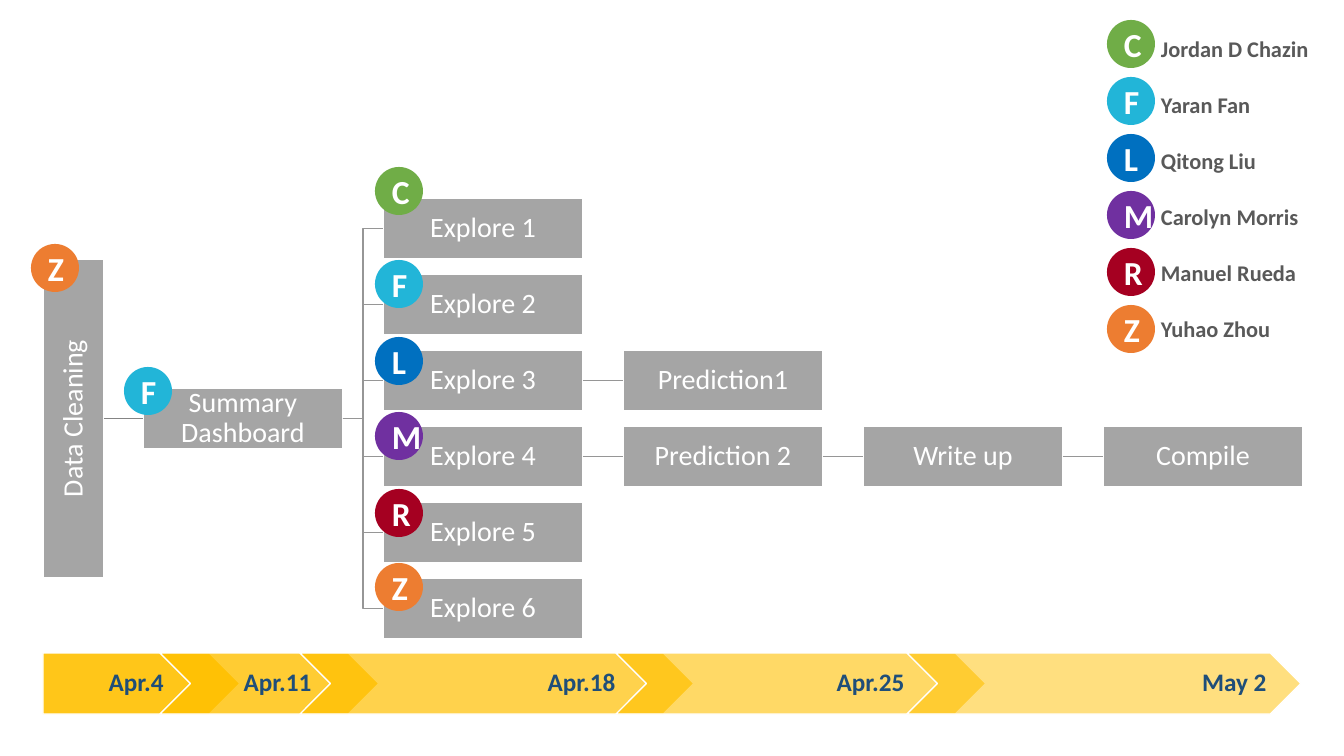
from lxml.etree import SubElement
from pptx import Presentation
from pptx.dml.color import RGBColor
from pptx.enum.shapes import MSO_CONNECTOR, MSO_SHAPE
from pptx.enum.text import MSO_ANCHOR, PP_ALIGN
from pptx.oxml.ns import qn
from pptx.util import Pt

PX = 914400 / 100.8
HUES = {
    "C": "70AD47", "F": "22B5D8", "L": "0070C0",
    "M": "7030A0", "R": "A50021", "Z": "ED7D31",
    "task": "A5A5A5", "gold": "FFC000", "white": "FFFFFF",
    "date": "1F4E79", "name": "595959", "link": "969696", "first": "848484",
}

deck = Presentation()
deck.slide_width, deck.slide_height = round(1344 * PX), round(756 * PX)
slide = deck.slides.add_slide(deck.slide_layouts[6])
shapes = slide.shapes


def write(text, kind=None, box=(0, 0, 0, 0), fill=None, edge=None, size=20,
          bold=False, hue="white", align=PP_ALIGN.CENTER, pad=(10, 5, 10, 5),
          space=None, gap=0, anchor=MSO_ANCHOR.MIDDLE):
    place = [round(n * PX) for n in box]
    if kind is None:
        shape = shapes.add_textbox(*place)
    else:
        shape = shapes.add_shape(kind, *place)
        shape.shadow.inherit = False
        shape.fill.solid()
        shape.fill.fore_color.rgb = RGBColor.from_string(HUES[fill])
        if edge:
            shape.line.color.rgb = RGBColor.from_string(HUES[edge])
            shape.line.width = Pt(1)
        else:
            shape.line.fill.background()
    frame = shape.text_frame
    frame.word_wrap = True
    frame.vertical_anchor = anchor
    (frame.margin_left, frame.margin_top,
     frame.margin_right, frame.margin_bottom) = [round(n * PX) for n in pad]
    frame.text = text
    for i, para in enumerate(frame.paragraphs):
        para.alignment = align
        para.line_spacing = space
        para.space_before = Pt(gap if i else 0)
        font = para.runs[0].font
        font.name, font.size, font.bold = "Calibri", Pt(size), bold
        font.color.rgb = RGBColor.from_string(HUES[hue])
    return shape


def join(start, end, kind=MSO_CONNECTOR.STRAIGHT, hue="link"):
    line = shapes.add_connector(kind, 0, 0, 0, 0)
    line.begin_connect(start, 3)
    line.end_connect(end, 1)
    line.line.color.rgb = RGBColor.from_string(HUES[hue])
    line.line.width = Pt(1)
    SubElement(line._element.spPr, qn("a:effectLst"))


tasks = [
    ("Summary Dashboard", 0, 2.5),
    *[(f"Explore {i + 1}", 1, i) for i in range(6)],
    ("Prediction1", 2, 2), ("Prediction 2", 2, 3),
    ("Write up", 3, 3), ("Compile", 4, 3),
]
look = dict(kind=MSO_SHAPE.RECTANGLE, fill="task", edge="white",
            pad=(1, 1, 1, 1), space=0.9)
clean = write("Data Cleaning", box=(43, 259, 61, 319), **look)
clean.text_frame._txBody.bodyPr.set("vert", "vert270")
node = {}
for text, col, row in tasks:
    spot = (143 + 240 * col, round(198 + 76 * row), 200, 61)
    node[text] = write(text, box=spot, **look)

join(clean, node["Summary Dashboard"], hue="first")
for i in range(6):
    join(node["Summary Dashboard"], node[f"Explore {i + 1}"], MSO_CONNECTOR.ELBOW)
for start, end in [("Explore 3", "Prediction1"), ("Explore 4", "Prediction 2"),
                   ("Prediction 2", "Write up"), ("Write up", "Compile")]:
    join(node[start], node[end])

dates = [("Apr.4", 43, 197, 61), ("Apr.11", 160, 219, 37),
         ("Apr.18", 300, 394, 48), ("Apr.25", 616, 370, 51),
         ("May 2", 907, 394, 4)]
for i, (text, left, width, right) in enumerate(dates):
    step = write(text, kind=MSO_SHAPE.CHEVRON if i else MSO_SHAPE.PENTAGON,
                 box=(left, 653, width, 61), fill="gold", edge="white",
                 size=18, bold=True, hue="date", align=PP_ALIGN.RIGHT,
                 pad=(0, 5, right, 5), space=0.9)
    tint = step._element.spPr.find(".//" + qn("a:srgbClr"))
    SubElement(tint, qn("a:alpha")).set("val", str(90000 - 10000 * i))

people = ["Jordan D Chazin", "Yaran Fan", "Qitong Liu",
          "Carolyn Morris", "Manuel Rueda", "Yuhao Zhou"]
write("\n".join(people), box=(1151, 29, 184, 322), size=16, bold=True,
      hue="name", align=PP_ALIGN.LEFT, space=Pt(20), gap=20,
      anchor=MSO_ANCHOR.TOP)

marks = [(mark, 1107, 20 + 57 * i) for i, mark in enumerate("CFLMRZ")]
marks += [("Z", 31, 244), ("F", 124, 367)]
marks += [(mark, 375, top) for mark, top in
          zip("CFLMRZ", (167, 260, 337, 412, 489, 563))]
for mark, left, top in marks:
    write(mark, kind=MSO_SHAPE.OVAL, box=(left, top, 48, 48), fill=mark,
          size=24, bold=True)

deck.save("out.pptx")
